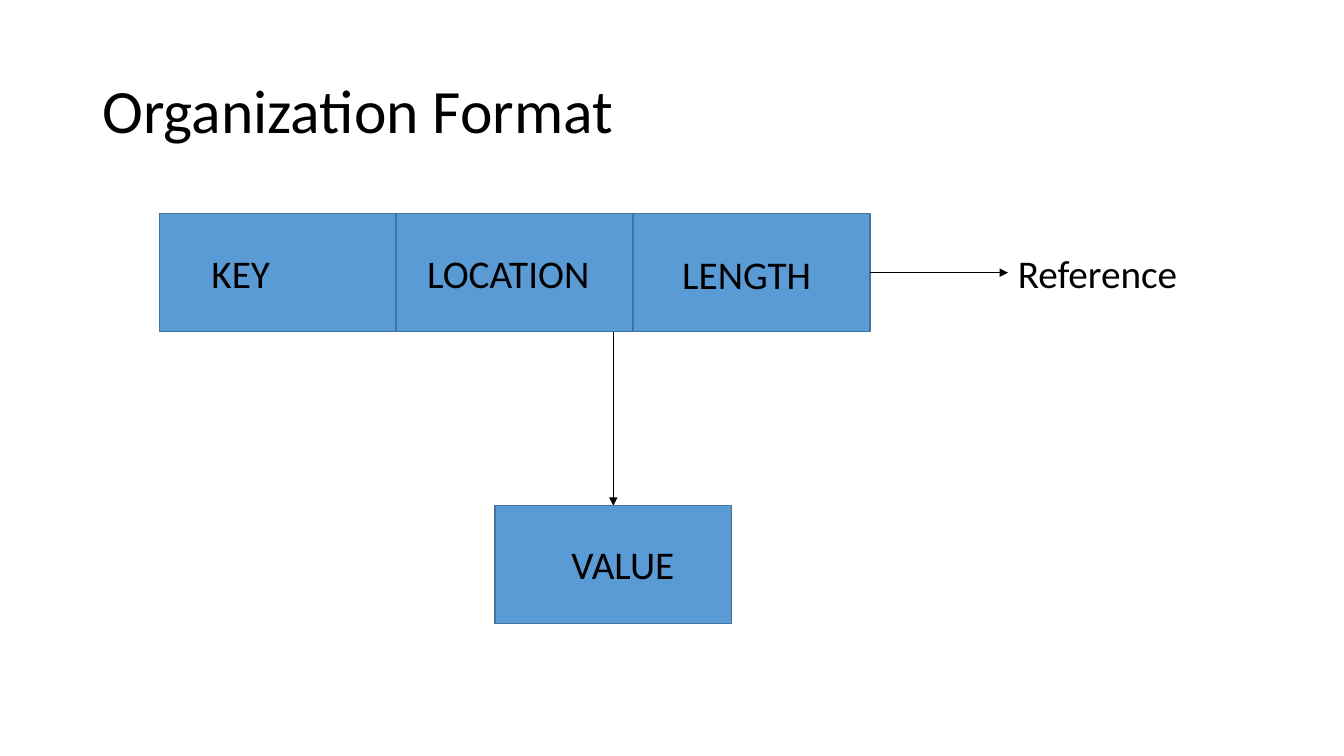
from lxml.etree import SubElement
from pptx import Presentation
from pptx.dml.color import RGBColor
from pptx.enum.shapes import MSO_CONNECTOR, MSO_SHAPE
from pptx.enum.text import MSO_ANCHOR, PP_ALIGN
from pptx.oxml.ns import qn
from pptx.util import Pt

BLACK = RGBColor(0x00, 0x00, 0x00)
BLUE = RGBColor(0x5B, 0x9B, 0xD5)
DARK_BLUE = RGBColor(0x43, 0x73, 0x9E)

CELL_WIDTH = 169.2
CELL_HEIGHT = 84.24
ROW_LEFT = 113.76
ROW_TOP = 152.64
VALUE_LEFT = 353.52
VALUE_TOP = 361.2
LABEL_WIDTH = 139.68
LABEL_HEIGHT = 41.04
LABEL_TOP = 174.24


def add_text(page, text, left, top, width=LABEL_WIDTH, height=LABEL_HEIGHT,
             size=28, align=PP_ALIGN.LEFT, anchor=MSO_ANCHOR.TOP, spacing=1.0):
    box = page.shapes.add_textbox(Pt(left), Pt(top), Pt(width), Pt(height))
    frame = box.text_frame
    frame.word_wrap = True
    frame.vertical_anchor = anchor
    para = frame.paragraphs[0]
    para.alignment = align
    para.line_spacing = spacing
    span = para.add_run()
    span.text = text
    span.font.name = "Calibri"
    span.font.size = Pt(size)
    span.font.color.rgb = BLACK


def add_cell(page, left, top):
    cell = page.shapes.add_shape(
        MSO_SHAPE.RECTANGLE, Pt(left), Pt(top), Pt(CELL_WIDTH), Pt(CELL_HEIGHT))
    cell.shadow.inherit = False
    cell.fill.solid()
    cell.fill.fore_color.rgb = BLUE
    cell.line.color.rgb = DARK_BLUE
    cell.line.width = Pt(1)


def add_arrow(page, start_x, start_y, end_x, end_y):
    arrow = page.shapes.add_connector(
        MSO_CONNECTOR.STRAIGHT, Pt(start_x), Pt(start_y), Pt(end_x), Pt(end_y))
    arrow.line.color.rgb = BLACK
    arrow.line.width = Pt(0.5)
    SubElement(arrow.line._get_or_add_ln(), qn("a:tailEnd"), type="triangle")
    SubElement(arrow._element.spPr, qn("a:effectLst"))


def main():
    deck = Presentation()
    deck.slide_width = Pt(960)
    deck.slide_height = Pt(540)
    page = deck.slides.add_slide(deck.slide_layouts[6])

    add_text(page, "Organization Format", 66, 28.8, 828, 104.4,
             size=44, anchor=MSO_ANCHOR.MIDDLE, spacing=0.9)

    for column in range(3):
        add_cell(page, ROW_LEFT + column * CELL_WIDTH, ROW_TOP)
    add_text(page, "KEY", 144, LABEL_TOP, width=110.88)
    add_text(page, "LOCATION", 298.08, LABEL_TOP)
    add_text(page, "LENGTH", 480.24, LABEL_TOP + 0.72)

    value_center = VALUE_LEFT + CELL_WIDTH / 2
    add_arrow(page, value_center, ROW_TOP + CELL_HEIGHT, value_center, VALUE_TOP)
    add_cell(page, VALUE_LEFT, VALUE_TOP)
    add_text(page, "VALUE", 375.12, 382.32, align=PP_ALIGN.CENTER)

    row_right = ROW_LEFT + 3 * CELL_WIDTH
    row_middle = ROW_TOP + CELL_HEIGHT / 2
    add_text(page, "Reference", 720, LABEL_TOP)
    add_arrow(page, row_right, row_middle, 720, row_middle)

    deck.save("out.pptx")


if __name__ == "__main__":
    main()
